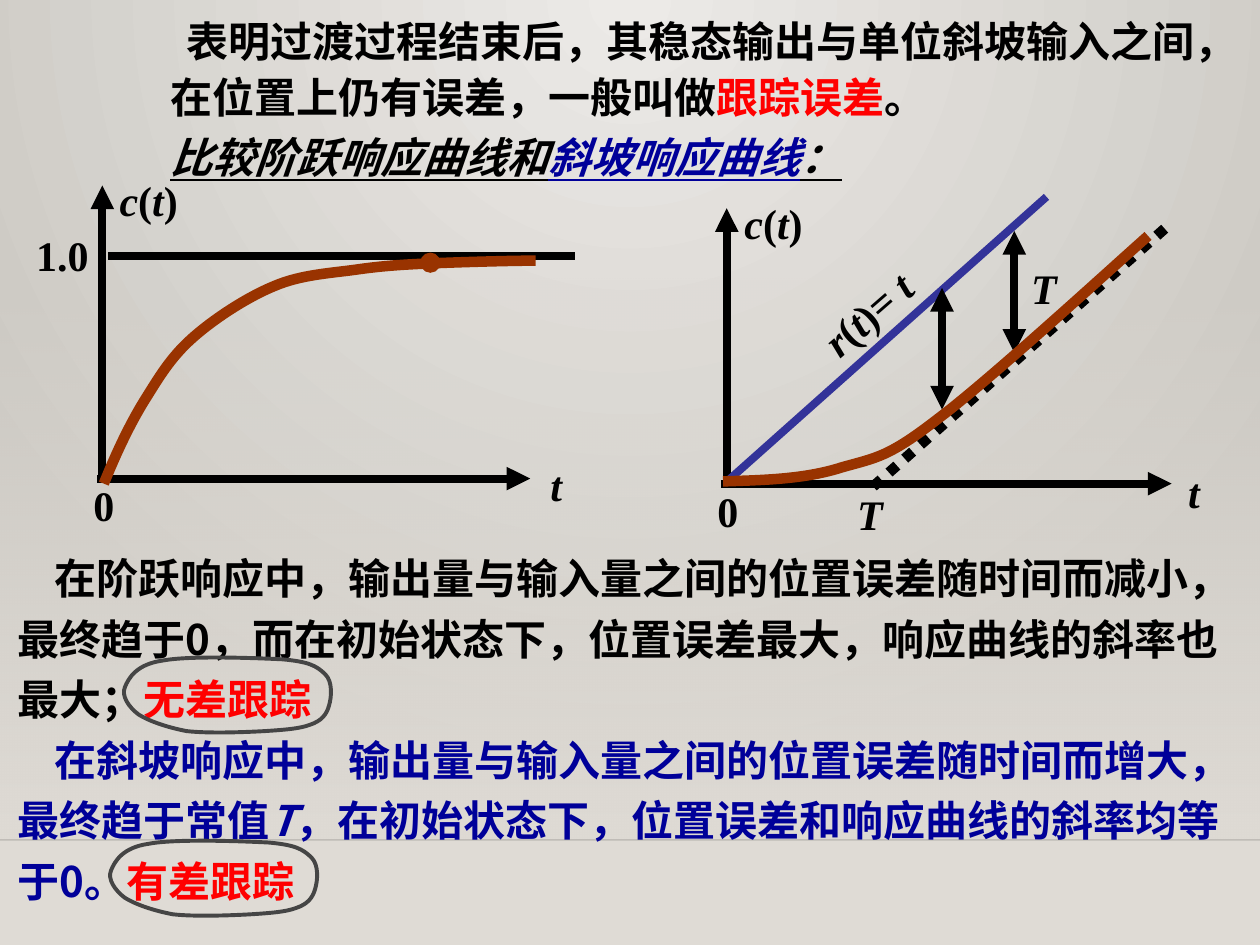
from itertools import groupby
from math import cos, radians, sin

from lxml.etree import SubElement
from pptx import Presentation
from pptx.dml.color import RGBColor
from pptx.enum.dml import MSO_LINE_DASH_STYLE as DASH
from pptx.enum.shapes import MSO_CONNECTOR as LINK, MSO_SHAPE as SHAPE
from pptx.enum.text import PP_ALIGN as ALIGN
from pptx.oxml.ns import qn
from pptx.util import Pt

rgb = RGBColor.from_string
SANS, SERIF, CJK = "Arial", "Times New Roman", "Noto Sans CJK SC"
BLACK, RED, NAVY, BROWN, BLUE = "000000", "FF0000", "000099", "993300", "333399"
BASE = "DFDBD5"

deck = Presentation()
deck.slide_width, deck.slide_height = Pt(720), Pt(540)
slide = deck.slides.add_slide(deck.slide_layouts[6])
shapes = slide.shapes


def write(left, top, width, height, paragraphs, align=ALIGN.CENTER, wrap=False):
    """Paragraph: (line spacing, first-line indent, runs); run: (text, font, colour, style)."""
    box = shapes.add_textbox(Pt(left), Pt(top), Pt(width), Pt(height))
    frame = box.text_frame
    frame.word_wrap = wrap
    for i, (spacing, indent, runs) in enumerate(paragraphs):
        para = frame.add_paragraph() if i else frame.paragraphs[0]
        para.alignment = align
        if spacing:
            para.line_spacing = Pt(spacing)
        if indent:
            para._p.get_or_add_pPr().set("indent", str(Pt(indent)))
        for text, face, colour, style in runs:
            run = para.add_run()
            run.text = text
            font = run.font
            font.name, font.size, font.bold = face, Pt(24), True
            font.italic, font.underline = "i" in style, "u" in style
            font.color.rgb = rgb(colour)
            SubElement(run._r.get_or_add_rPr(), qn("a:ea")).set("typeface", CJK)
    return box


def curve(points, colour, width, closed=False):
    """Draw cubic Bezier segments: start, then two controls and an end for each."""
    nodes = [(Pt(x), Pt(y)) for x, y in points]
    builder = shapes.build_freeform(*nodes[0])
    builder.add_line_segments(nodes[1:], close=closed)
    drawn = builder.convert_to_shape()
    drawn.shadow.inherit = False
    drawn.fill.background()
    drawn.line.color.rgb = rgb(colour)
    drawn.line.width = Pt(width)
    if not closed:
        drawn.line._ln.set("cap", "sq")
    steps = list(drawn._element.iter(qn("a:lnTo")))
    for k in range(0, len(steps), 3):
        bezier = steps[k].makeelement(qn("a:cubicBezTo"))
        steps[k].addprevious(bezier)
        for step in steps[k:k + 3]:
            bezier.append(step[0])
            step.getparent().remove(step)
    return drawn


# Background: radial gradient, lightest at the top
backdrop = slide.background.fill
backdrop.gradient()
for stop, colour in zip(backdrop.gradient_stops, ("ECEAE7", "CAC7C1")):
    stop.color.rgb = rgb(colour)
grad = slide.background._cSld.bg.bgPr.find(qn("a:gradFill"))
grad.remove(grad.find(qn("a:lin")))
radial = SubElement(grad, qn("a:path"), {"path": "circle"})
SubElement(radial, qn("a:fillToRect"), {"l": "43000", "r": "43000", "b": "100000"})

# Fading band above the footer
band = shapes.add_shape(SHAPE.RECTANGLE, 0, Pt(158.4), Pt(720), Pt(321.6))
band.shadow.inherit = False
band.line.fill.background()
band.fill.gradient()
band.fill.gradient_angle = 270
for stop in band.fill.gradient_stops:
    stop.color.rgb = rgb(BASE)
clear = band._element.spPr.find(".//" + qn("a:srgbClr"))
SubElement(clear, qn("a:alpha")).set("val", "0")

# Footer rule and footer strip
rule = shapes.add_connector(LINK.STRAIGHT, 0, Pt(480.2), Pt(720), Pt(480.2))
rule.line.width = Pt(1)
rule.line.color.rgb = rgb("000001")
tint = rule._element.spPr.find(".//" + qn("a:srgbClr"))
SubElement(tint, qn("a:alpha")).set("val", "20000")
SubElement(rule._element.spPr, qn("a:effectLst"))
footer = shapes.add_shape(SHAPE.RECTANGLE, 0, Pt(480.2), Pt(720), Pt(59.8))
footer.shadow.inherit = False
footer.fill.solid()
footer.fill.fore_color.rgb = rgb(BASE)
footer.line.fill.background()

# Axes, reference lines and error arrows: ends, colour, width, dash, arrowheads
straight_lines = [
    (58.5, 271.5, 58.5, 106, BLACK, 4.5, None, ["tailEnd"]),
    (55.5, 273.5, 303, 273.5, BLACK, 4.5, None, ["tailEnd"]),
    (62, 146.3, 328.5, 146.3, BLACK, 4.5, None, []),
    (415.3, 274.5, 415.3, 119, BLACK, 4.5, None, ["tailEnd"]),
    (412, 276.4, 669.5, 276.4, BLACK, 4.5, None, ["tailEnd"]),
    (499, 278, 667.5, 129, BLACK, 6, DASH.ROUND_DOT, []),
    (416.2, 274.5, 598, 112.5, BLUE, 4.5, None, []),
    (579.6, 132, 579.6, 201.6, BLACK, 4.5, None, ["headEnd", "tailEnd"]),
    (538.3, 164.5, 538.3, 234, BLACK, 4.5, None, ["headEnd", "tailEnd"]),
]
for x1, y1, x2, y2, colour, width, dash, heads in straight_lines:
    link = shapes.add_connector(LINK.STRAIGHT, Pt(x1), Pt(y1), Pt(x2), Pt(y2))
    link.line.color.rgb = rgb(colour)
    link.line.width = Pt(width)
    if dash:
        link.line.dash_style = dash
    for head in heads:
        SubElement(link.line._ln, qn("a:" + head)).set("type", "triangle")
    SubElement(link._element.spPr, qn("a:effectLst"))

# Step response with its settling point
curve([(60.5, 273.6), (67, 257.8), (74.2, 242.6), (82.1, 229.7), (90.7, 216),
       (97.2, 204.5), (110.2, 193), (122.4, 182.2), (141.1, 169.9), (157, 163.4),
       (172.1, 157), (188.6, 156.2), (203.8, 154.1), (218.9, 151.9), (231.1, 151.2),
       (247.7, 150.5), (264.2, 149.8), (292.3, 149), (303.1, 149)], BROWN, 6)
settled = shapes.add_shape(SHAPE.OVAL, Pt(240.5), Pt(144.7), Pt(10.8), Pt(10.8))
settled.shadow.inherit = False
settled.fill.solid()
settled.fill.fore_color.rgb = rgb(BROWN)
settled.line.color.rgb = rgb(BROWN)
settled.line.width = Pt(0.75)

# Ramp response
curve([(416.2, 275), (438.5, 274.3), (460.8, 273.6), (481, 267.1), (501.1, 261.4),
       (507.6, 261.4), (536.4, 239), (565.2, 217.4), (634.3, 154.1), (653.8, 136.8)],
      BROWN, 6)

# Labels of both graphs: letters are italic, signs and digits upright
labels = [
    ("0", 46, 270.7, 26.6, 0), ("t", 307.4, 259.2, 21, 0), ("c(t)", 61.2, 96.4, 47.5, 0),
    ("1.0", 10.8, 127.7, 49.7, 0), ("t", 671.8, 263, 21, 0),
    ("c(t)", 418.3, 109.5, 47.5, 0), ("0", 402.7, 273.7, 26.6, 0),
    ("T", 480.2, 275.4, 33.8, 0), ("T", 579.6, 146.6, 33.8, 0),
    ("r(t)= t", 454.2, 161.2, 82.8, 318.9),
]
for text, left, top, width, angle in labels:
    runs = [("".join(signs), SERIF, BLACK, "i" if letter else "")
            for letter, signs in groupby(text, str.isalpha)]
    write(left, top, width, 36, [(None, 0, runs)]).rotation = angle

# Conclusions on step and ramp tracking
write(2.9, 306.5, 720, 214.5, [
    (34.56, 21.3, [
        ("在阶跃响应中，输出量与输入量之间的位置误差随时间而减小，最终趋于0，"
         "而在初始状态下，位置误差最大，响应曲线的斜率也最大；", CJK, BLACK, ""),
        ("无差跟踪", SANS, RED, "")]),
    (34.56, 21.3, [
        ("在斜坡响应中，输出量与输入量之间的位置误差随时间而增大，最终趋于常值",
         CJK, NAVY, ""),
        ("T", CJK, NAVY, "i"),
        ("，在初始状态下，位置误差和响应曲线的斜率均等于0。", CJK, NAVY, ""),
        ("有差跟踪", CJK, RED, "")]),
], ALIGN.LEFT, True)

# Rings around the two verdicts: one outline, turned by 225 degrees
ring = [(106.6, 417.6), (118.8, 419), (139, 418.3), (151.2, 417.6), (162.7, 416.9),
        (171.4, 416.2), (177.1, 414), (183.6, 411.8), (186.5, 408.2), (187.9, 403.2),
        (189.4, 398.2), (190.1, 389.5), (185.8, 385.2), (180.7, 380.2), (176.4, 378),
        (161.3, 376.6), (145.4, 375.8), (108, 374.4), (92.9, 377.3), (77.8, 379.4),
        (73.4, 387.4), (71.3, 392.4), (69.1, 397.4), (73.4, 403.9), (79.2, 408.2),
        (85, 411.8), (95, 415.4), (106.6, 417.6)]
TURN, MID_X, MID_Y = 225, 130.7, 395.7
c, s = cos(radians(TURN)), sin(radians(TURN))
for dx, dy in ((0, 0), (-7.9, 104.7)):
    curve([(MID_X + dx + (x - MID_X) * c + (y - MID_Y) * s,
            MID_Y + dy - (x - MID_X) * s + (y - MID_Y) * c) for x, y in ring],
          "454545", 2.25, closed=True).rotation = TURN

# Opening statement
opening = write(90.3, -10.8, 610.5, 116, [
    (32, 9, [
        ("表明过渡过程结束后，其稳态输出与单位斜坡输入之间，在位置上仍有误差，一般叫做",
         SANS, BLACK, ""),
        ("跟踪误差", SANS, RED, ""),
        ("。", SANS, BLACK, "")]),
    (34.5, 0, [
        ("比较阶跃响应曲线和", SANS, BLACK, "iu"),
        ("斜坡响应曲线", SANS, NAVY, "iu"),
        ("：", SANS, BLACK, "iu")]),
], ALIGN.LEFT, True)
opening.text_frame.margin_top = Pt(16.4)

deck.save("out.pptx")
